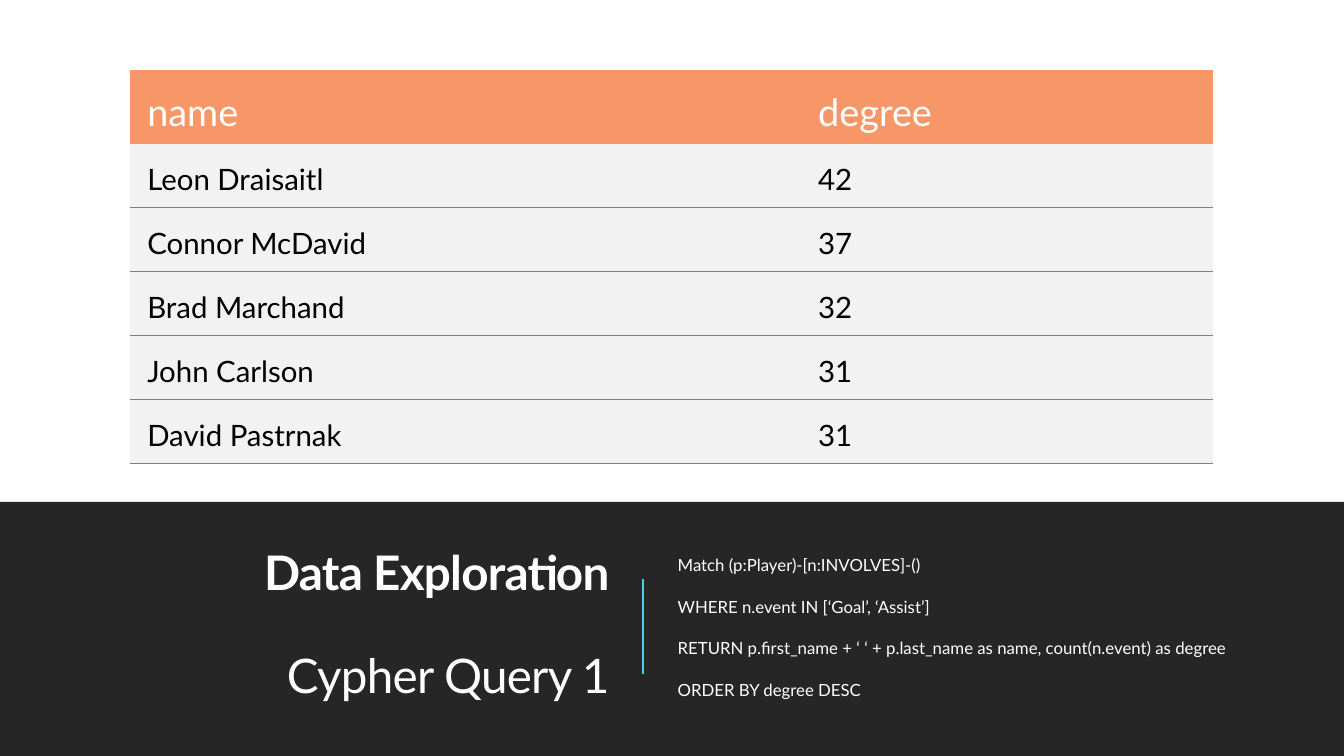
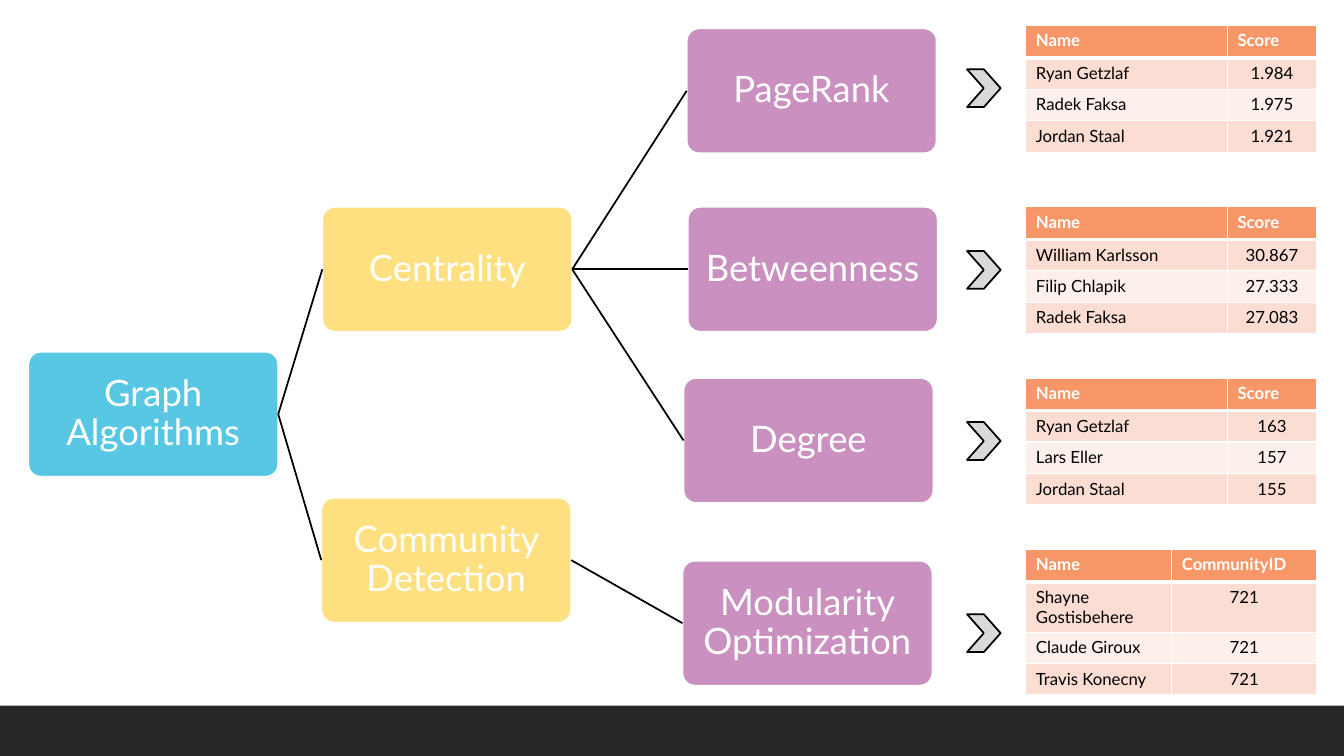
from lxml import etree
from pptx import Presentation
from pptx.dml.color import RGBColor
from pptx.enum.shapes import MSO_CONNECTOR, MSO_SHAPE
from pptx.enum.text import MSO_ANCHOR, PP_ALIGN
from pptx.oxml.ns import qn
from pptx.util import Inches, Pt

RECTANGLE, ROUNDED, CHEVRON = MSO_SHAPE.RECTANGLE, MSO_SHAPE.ROUNDED_RECTANGLE, MSO_SHAPE.CHEVRON
STRAIGHT = MSO_CONNECTOR.STRAIGHT
MIDDLE, TOP = MSO_ANCHOR.MIDDLE, MSO_ANCHOR.TOP
LEFT, CENTER, RIGHT = PP_ALIGN.LEFT, PP_ALIGN.CENTER, PP_ALIGN.RIGHT
LEFT_SITE, RIGHT_SITE = 1, 3

COLORS = {
    "white": "FFFFFF", "black": "000000", "band": "262626", "rule": "808080",
    "blue": "57C7E3", "yellow": "FFE081", "purple": "C990C0", "orange": "F79767",
    "light": "F2F2F2", "peach": "FCDDD3", "pale peach": "FDEFEB", "chevron": "D9D9D9",
}
RGB = {name: RGBColor.from_string(code) for name, code in COLORS.items()}

# The slide is a grid of 1280 columns and 720 rows.
WIDTH, HEIGHT = 12192000, 6858000
COL, ROW = WIDTH // 1280, HEIGHT // 720


def draw(slide, preset, left, top, width, height, fill, outline=None):
    """Add a flat preset shape at a place on the grid."""
    shape = slide.shapes.add_shape(preset, left * COL, top * ROW, width * COL, height * ROW)
    shape.shadow.inherit = False
    shape.fill.solid()
    shape.fill.fore_color.rgb = RGB[fill]
    if outline:
        shape.line.color.rgb = RGB[outline]
        shape.line.width = Pt(1.25)
    else:
        shape.line.fill.background()
    return shape


def write(paragraph, text, color, size, bold=False, **layout):
    """Put one run of text in a paragraph; layout holds paragraph attributes."""
    run = paragraph.add_run()
    run.text = text
    for name, value in {"name": "Lato", "size": Pt(size), "bold": bold}.items():
        setattr(run.font, name, value)
    run.font.color.rgb = RGB[color]
    for name, value in layout.items():
        setattr(paragraph, name, value)
    return run


prs = Presentation()
prs.slide_width, prs.slide_height = WIDTH, HEIGHT
query_slide, algorithm_slide = [prs.slides.add_slide(prs.slide_layouts[6]) for _ in range(2)]

# Dark bands at the foot
for slide, band_top in ((query_slide, 478), (algorithm_slide, 672)):
    draw(slide, RECTANGLE, 0, band_top, 1280, 720 - band_top, "band")

# Query slide: heading and query on either side of a divider
heading = {"size": 34, "alignment": RIGHT, "line_spacing": 0.9, "gap": 37, "after": 0, "spc": "-50"}
query = {"size": 12, "alignment": LEFT, "line_spacing": 1.1, "gap": 12, "after": 2, "spc": "0"}
query_texts = [
    (66, 524, heading, ["Data Exploration", "Cypher Query 1"]),
    (636, 577, query, [
        "Match (p:Player)-[n:INVOLVES]-()",
        "WHERE n.event IN [‘Goal’, ‘Assist’]",
        "RETURN p.first_name + ‘ ‘ + p.last_name as name, count(n.event) as degree",
        "ORDER BY degree DESC",
    ]),
]
for left, width, style, lines in query_texts:
    frame = query_slide.shapes.add_textbox(left * COL, 515 * ROW, width * COL, 163 * ROW).text_frame
    frame.word_wrap = True
    frame.vertical_anchor = MIDDLE
    for index, line in enumerate(lines):
        paragraph = frame.add_paragraph() if index else frame.paragraphs[0]
        run = write(paragraph, line, "white", style["size"],
                    bold=style is heading and index == 0,
                    alignment=style["alignment"], line_spacing=style["line_spacing"],
                    space_before=Pt(style["gap"] if index else 0),
                    space_after=Pt(style["after"]))
        run._r.get_or_add_rPr().set("spc", style["spc"])

divider = query_slide.shapes.add_connector(STRAIGHT, 612 * COL, 551 * ROW, 612 * COL, 642 * ROW)
connectors = [(divider, "blue", 1.5)]

# Algorithm slide: tree of topics, each with its parent
topics = [
    ("Graph Algorithms", None, 27, 335, "blue"),
    ("Centrality", "Graph Algorithms", 307, 197, "yellow"),
    ("Community Detection", "Graph Algorithms", 306, 474, "yellow"),
    ("PageRank", "Centrality", 654, 27, "purple"),
    ("Betweenness", "Centrality", 655, 197, "purple"),
    ("Degree", "Centrality", 651, 360, "purple"),
    ("Modularity Optimization", "Community Detection", 650, 534, "purple"),
]
nodes = {}
for topic, parent, left, top, fill in topics:
    node = nodes[topic] = draw(algorithm_slide, ROUNDED, left, top, 238, 119, fill, "white")
    node.adjustments[0] = 0.1
    frame = node.text_frame
    frame.word_wrap = True
    frame.vertical_anchor = MIDDLE
    for side in ("left", "right", "top", "bottom"):
        setattr(frame, f"margin_{side}", Inches(0.02))
    write(frame.paragraphs[0], topic, "white", 26, alignment=CENTER, line_spacing=0.9)
    if parent:
        branch = algorithm_slide.shapes.add_connector(STRAIGHT, 0, 0, 0, 0)
        branch.begin_connect(nodes[parent], RIGHT_SITE)
        branch.end_connect(node, LEFT_SITE)
        connectors.append((branch, "black", 1.25))

for connector, color, width in connectors:
    connector.line.color.rgb = RGB[color]
    connector.line.width = Pt(width)
    etree.SubElement(connector._element.spPr, qn("a:effectLst"))

for top in (66, 239, 402, 585):
    draw(algorithm_slide, CHEVRON, 921, top, 32, 36, "chevron", "black")

# Tables: rules are the widths of the horizontal lines from top to bottom
degree_style = {
    "slide": query_slide, "left": 124, "fills": ["light"], "sizes": (27, 21),
    "bold": False, "anchor": MIDDLE, "align": LEFT, "margins": (0.17, 0.17, 0.17, 0.08),
    "rules": [0, 0] + [0.75] * 5, "side": 0, "rule color": "rule",
}
score_style = {
    "slide": algorithm_slide, "left": 977, "fills": ["peach", "pale peach"], "sizes": (12, 12),
    "bold": True, "anchor": TOP, "align": CENTER, "margins": (0.1, 0.05, 0.1, 0.05),
    "rules": [1, 3, 1, 1, 1], "side": 1, "rule color": "white",
}
score_columns, score_rows = (192, 85), (31, 30, 30, 30)
tables = [
    (degree_style, 67, (639, 392), (70, 61, 61, 61, 61, 61), [
        ("name", "degree"), ("Leon Draisaitl", "42"), ("Connor McDavid", "37"),
        ("Brad Marchand", "32"), ("John Carlson", "31"), ("David Pastrnak", "31")]),
    (score_style, 24, score_columns, score_rows, [
        ("Name", "Score"), ("Ryan Getzlaf", "1.984"),
        ("Radek Faksa", "1.975"), ("Jordan Staal", "1.921")]),
    (score_style, 197, score_columns, score_rows, [
        ("Name", "Score"), ("William Karlsson", "30.867"),
        ("Filip Chlapik", "27.333"), ("Radek Faksa", "27.083")]),
    (score_style, 360, score_columns, score_rows, [
        ("Name", "Score"), ("Ryan Getzlaf", "163"),
        ("Lars Eller", "157"), ("Jordan Staal", "155")]),
    (score_style, 523, (139, 138), (31, 48, 30, 30), [
        ("Name", "CommunityID"), ("Shayne Gostisbehere", "721"),
        ("Claude Giroux", "721"), ("Travis Konecny", "721")]),
]
for style, top, columns, heights, records in tables:
    table = style["slide"].shapes.add_table(
        len(records), len(columns), style["left"] * COL, top * ROW,
        sum(columns) * COL, sum(heights) * ROW).table
    table.horz_banding = False
    for column, width in zip(table.columns, columns):
        column.width = width * COL
    for r, record in enumerate(records):
        table.rows[r].height = heights[r] * ROW
        is_header = r == 0
        edges = {"lnL": style["side"], "lnR": style["side"],
                 "lnT": style["rules"][r], "lnB": style["rules"][r + 1]}
        for c, value in enumerate(record):
            cell = table.cell(r, c)
            cell.vertical_anchor = style["anchor"] if is_header else TOP
            for side, margin in zip(("left", "top", "right", "bottom"), style["margins"]):
                setattr(cell, f"margin_{side}", Inches(margin))
            for edge, width in edges.items():
                line = etree.SubElement(cell._tc.get_or_add_tcPr(), qn(f"a:{edge}"), w=str(Pt(width)))
                if width:
                    paint = etree.SubElement(line, qn("a:solidFill"))
                    etree.SubElement(paint, qn("a:srgbClr"), val=COLORS[style["rule color"]])
                else:
                    etree.SubElement(line, qn("a:noFill"))
            cell.fill.solid()
            body_fill = style["fills"][(r - 1) % len(style["fills"])]
            cell.fill.fore_color.rgb = RGB["orange" if is_header else body_fill]
            write(cell.text_frame.paragraphs[0], value, "white" if is_header else "black",
                  style["sizes"][0 if is_header else 1], bold=is_header and style["bold"],
                  alignment=style["align"] if c and not is_header else LEFT)

prs.save("out.pptx")
